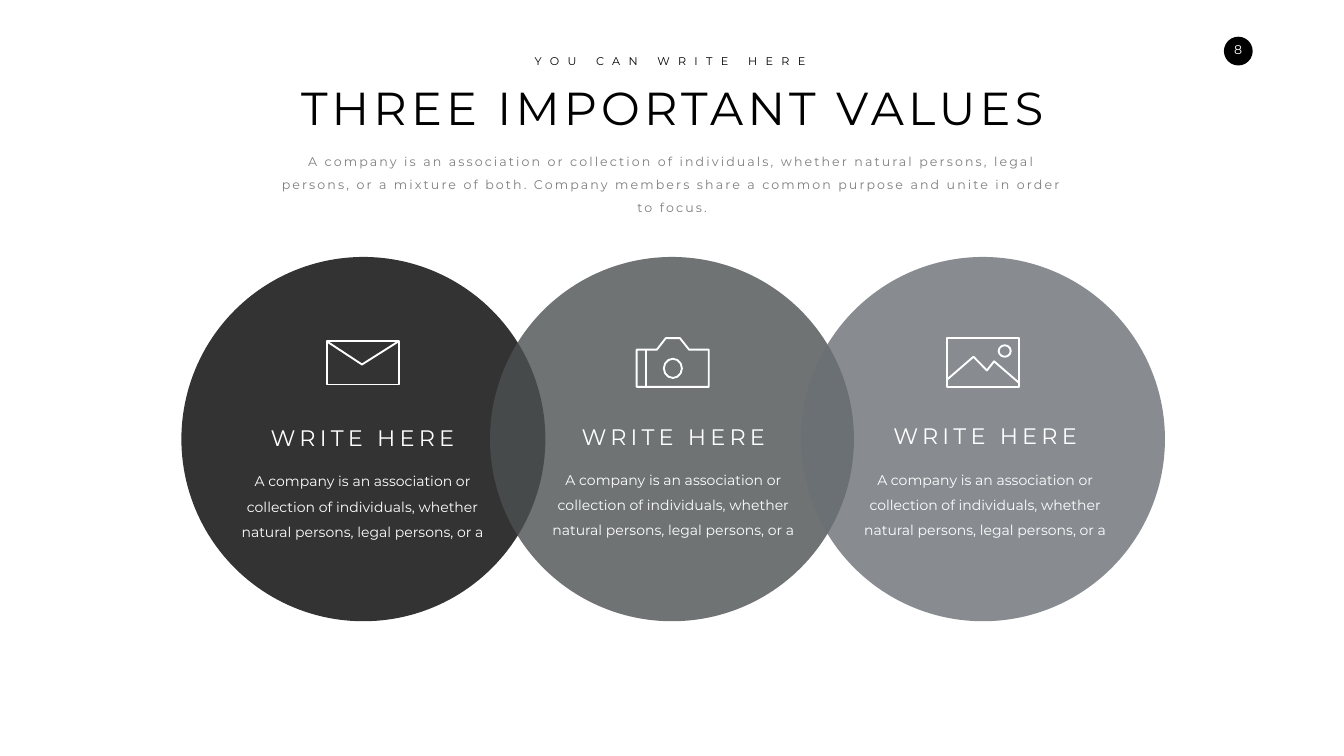
from dataclasses import dataclass
from typing import Optional

import pptx
import pptx.enum.shapes
import pptx.enum.text
import pptx.oxml.ns
import pptx.oxml.xmlchemy
import pptx.util
from pptx.dml.color import RGBColor
from pptx.util import Cm

BLACK = RGBColor(0x00, 0x00, 0x00)
SLATE = RGBColor(0x4B, 0x50, 0x50)
STEEL = RGBColor(0x6B, 0x70, 0x76)
GREY = RGBColor(0x7F, 0x7F, 0x7F)
WHITE = RGBColor(0xFF, 0xFF, 0xFF)

FONT = "Montserrat"
ICON_LINE = pptx.util.Pt(2.7)
ICON_WIDTH = 3.63
CIRCLE_TOP, CIRCLE_WIDTH, CIRCLE_HEIGHT = 12.95, 18.34, 18.36
HEADING = "WRITE HERE"
BODY = ("A company is an association or collection of individuals, "
        "whether natural persons, legal persons, or a")
DESCRIPTION = (
    "A company is an association or collection of individuals, whether natural "
    "persons, legal persons, or a mixture of both. Company members share a common "
    "purpose and unite in order to focus.")

Point = tuple[float, float]
Box = tuple[float, float, float, float]


@dataclass(frozen=True)
class TextStyle:
    size: float
    color: RGBColor
    tracking: float = 0
    line_spacing: Optional[float] = None
    wrap: bool = True


@dataclass(frozen=True)
class Icon:
    """Parts in centimetres, measured from the top left of the icon."""
    left: float
    top: float
    rectangles: tuple[Box, ...] = ()
    ovals: tuple[Box, ...] = ()
    polygons: tuple[tuple[Point, ...], ...] = ()
    polylines: tuple[tuple[Point, ...], ...] = ()
    lines: tuple[tuple[Point, Point], ...] = ()


@dataclass(frozen=True)
class Value:
    circle_left: float
    color: RGBColor
    text_center: float
    heading_top: float
    icon: Icon


ENVELOPE = Icon(
    16.46, 17.2,
    rectangles=((0, 0, ICON_WIDTH, 2.18),),
    polylines=(((0, 0), (1.78, 1.17), (ICON_WIDTH, 0)),),
)
CAMERA = Icon(
    32.08, 17.04,
    ovals=((1.37, 1.04, 0.91, 0.97),),
    polygons=(((2.64, 0.58), (2.18, 0), (1.47, 0), (1.02, 0.58), (0, 0.58),
               (0, 2.46), (ICON_WIDTH, 2.46), (ICON_WIDTH, 0.58)),),
    lines=(((0.47, 0.58), (0.47, 2.46)),),
)
LANDSCAPE = Icon(
    47.7, 17.04,
    rectangles=((0, 0, ICON_WIDTH, 2.46),),
    ovals=((2.62, 0.36, 0.61, 0.58),),
    polylines=(((0, 2.11), (1.35, 0.94), (2.03, 1.63), (2.39, 1.17),
                (ICON_WIDTH, 2.24)),),
)
VALUES = (
    Value(9.14, BLACK, 18.27, 21.26, ENVELOPE),
    Value(24.69, SLATE, 33.93, 21.18, CAMERA),
    Value(40.36, STEEL, 49.64, 21.16, LANDSCAPE),
)

PAGE_STYLE = TextStyle(18, WHITE, wrap=False)
TITLE_STYLE = TextStyle(66, BLACK, tracking=6, wrap=False)
KICKER_STYLE = TextStyle(16, BLACK, tracking=12)
DESCRIPTION_STYLE = TextStyle(18, GREY, tracking=3, line_spacing=1.5)
HEADING_STYLE = TextStyle(32, WHITE, tracking=6, wrap=False)
BODY_STYLE = TextStyle(20, WHITE, line_spacing=1.5)


def add_text(slide, text: str, box: Box, style: TextStyle):
    shape = slide.shapes.add_textbox(*map(Cm, box))
    frame = shape.text_frame
    frame.text = text
    frame.word_wrap = style.wrap
    frame.auto_size = pptx.enum.text.MSO_AUTO_SIZE.SHAPE_TO_FIT_TEXT
    paragraph = frame.paragraphs[0]
    paragraph.alignment = pptx.enum.text.PP_ALIGN.CENTER
    if style.line_spacing:
        paragraph.line_spacing = style.line_spacing
    run = paragraph.runs[0]
    run.font.name = FONT
    run.font.size = pptx.util.Pt(style.size)
    run.font.color.rgb = style.color
    if style.tracking:
        run._r.get_or_add_rPr().set("spc", str(round(style.tracking * 100)))
    return shape


def add_circle(slide, box: Box, color: RGBColor, opacity: int = 100) -> None:
    shape = slide.shapes.add_shape(
        pptx.enum.shapes.MSO_SHAPE.OVAL, *map(Cm, box))
    shape.shadow.inherit = False
    shape.fill.solid()
    shape.fill.fore_color.rgb = color
    shape.line.fill.background()
    if opacity < 100:
        color_element = shape._element.spPr.find(".//" + pptx.oxml.ns.qn("a:srgbClr"))
        alpha = pptx.oxml.xmlchemy.OxmlElement("a:alpha")
        alpha.set("val", str(opacity * 1000))
        color_element.append(alpha)


def style_outline(shape) -> None:
    shape.shadow.inherit = False
    shape.fill.background()
    shape.line.color.rgb = WHITE
    shape.line.width = ICON_LINE


def add_icon(slide, icon: Icon) -> None:
    group = slide.shapes.add_group_shape()

    def place(point: Point) -> tuple[int, int]:
        return Cm(icon.left + point[0]), Cm(icon.top + point[1])

    presets = pptx.enum.shapes.MSO_SHAPE
    for preset, boxes in ((presets.RECTANGLE, icon.rectangles),
                          (presets.OVAL, icon.ovals)):
        for left, top, width, height in boxes:
            style_outline(group.shapes.add_shape(
                preset, *place((left, top)), Cm(width), Cm(height)))
    for outlines, closed in ((icon.polygons, True), (icon.polylines, False)):
        for points in outlines:
            start, *rest = map(place, points)
            builder = group.shapes.build_freeform(*start)
            builder.add_line_segments(rest, close=closed)
            style_outline(builder.convert_to_shape())
    for start, end in icon.lines:
        connector = group.shapes.add_connector(
            pptx.enum.shapes.MSO_CONNECTOR.STRAIGHT, *place(start), *place(end))
        connector.line.color.rgb = WHITE
        connector.line.width = ICON_LINE
        connector._element.spPr.append(
            pptx.oxml.xmlchemy.OxmlElement("a:effectLst"))


def main() -> None:
    presentation = pptx.Presentation()
    presentation.slide_width = Cm(67.72)
    presentation.slide_height = Cm(38.1)
    slide = presentation.slides.add_slide(presentation.slide_layouts[6])

    # Page number
    add_circle(slide, (61.67, 1.85, 1.45, 1.45), BLACK)
    page = add_text(slide, "8", (61.3, 1.85, 2.18, 1.27), PAGE_STYLE)
    page.text_frame.margin_top = page.text_frame.margin_bottom = Cm(0.25)

    # Overlapping circles, all behind the text
    for value in VALUES:
        add_circle(slide, (value.circle_left, CIRCLE_TOP, CIRCLE_WIDTH, CIRCLE_HEIGHT),
                   value.color, opacity=80)

    # Title block
    add_text(slide, "THREE IMPORTANT VALUES", (14.78, 3.86, 38.23, 3.07), TITLE_STYLE)
    add_text(slide, "YOU CAN WRITE HERE", (25.07, 2.59, 17.4, 0.94), KICKER_STYLE)
    add_text(slide, DESCRIPTION, (13.51, 7.26, 40.72, 2.57), DESCRIPTION_STYLE)

    # Icon, heading and body of each value
    heading_width, body_width = 9.91, 13.34
    for value in VALUES:
        add_icon(slide, value.icon)
        add_text(slide, BODY, (value.text_center - body_width / 2,
                               value.heading_top + 2.03, body_width, 3.91), BODY_STYLE)
        add_text(slide, HEADING, (value.text_center - heading_width / 2,
                                  value.heading_top, heading_width, 1.63), HEADING_STYLE)

    presentation.save("out.pptx")


if __name__ == "__main__":
    main()
